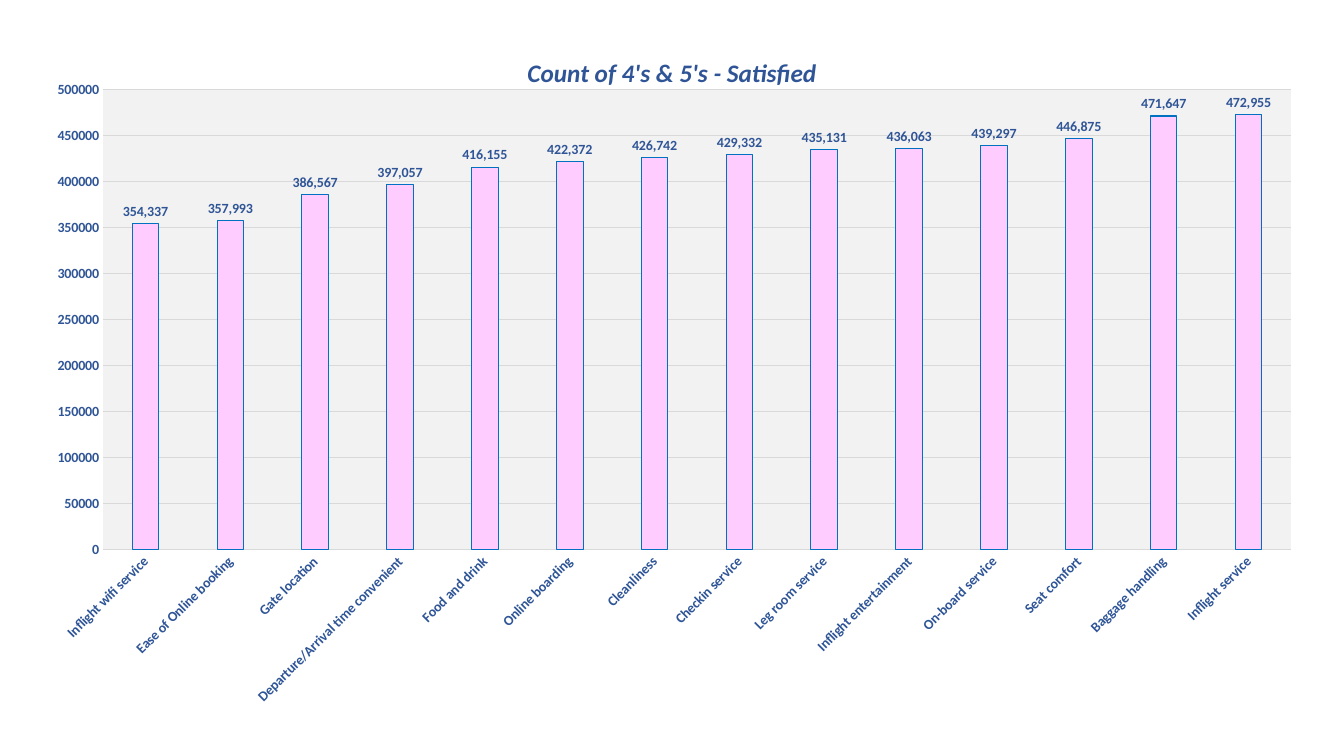
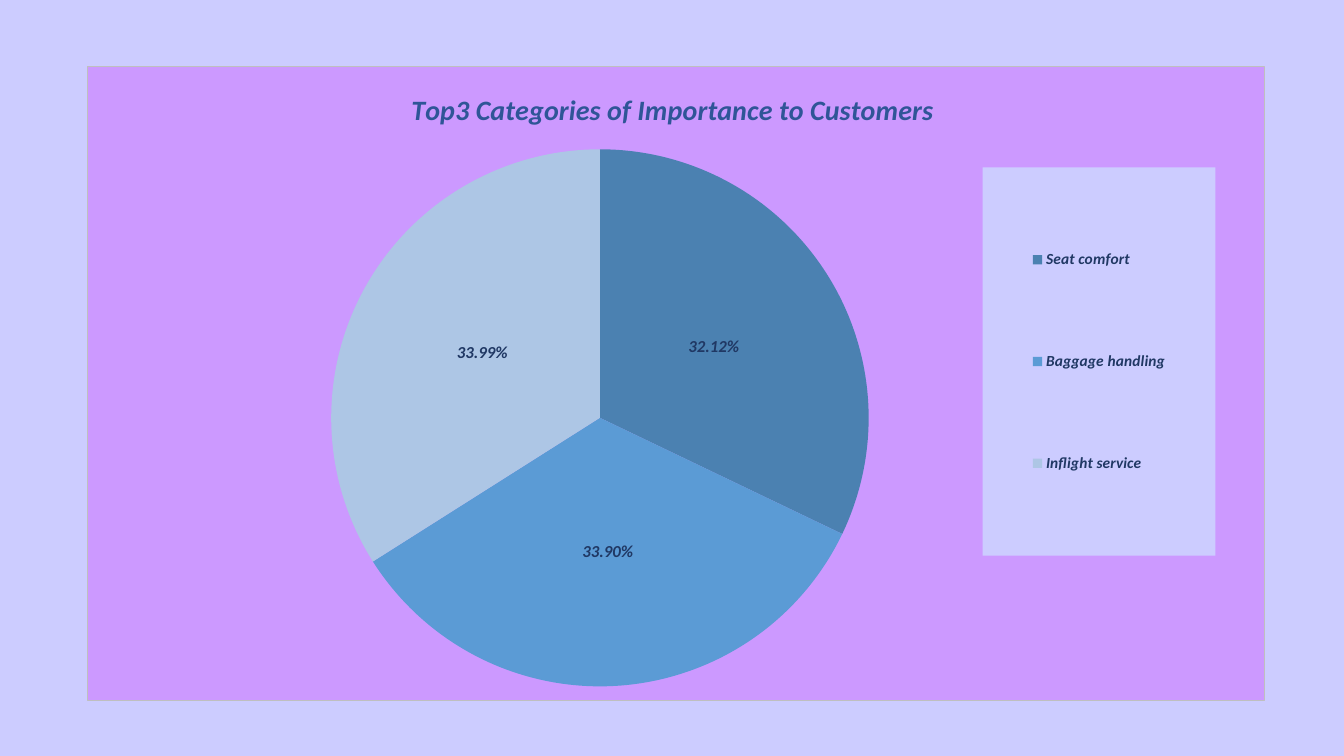
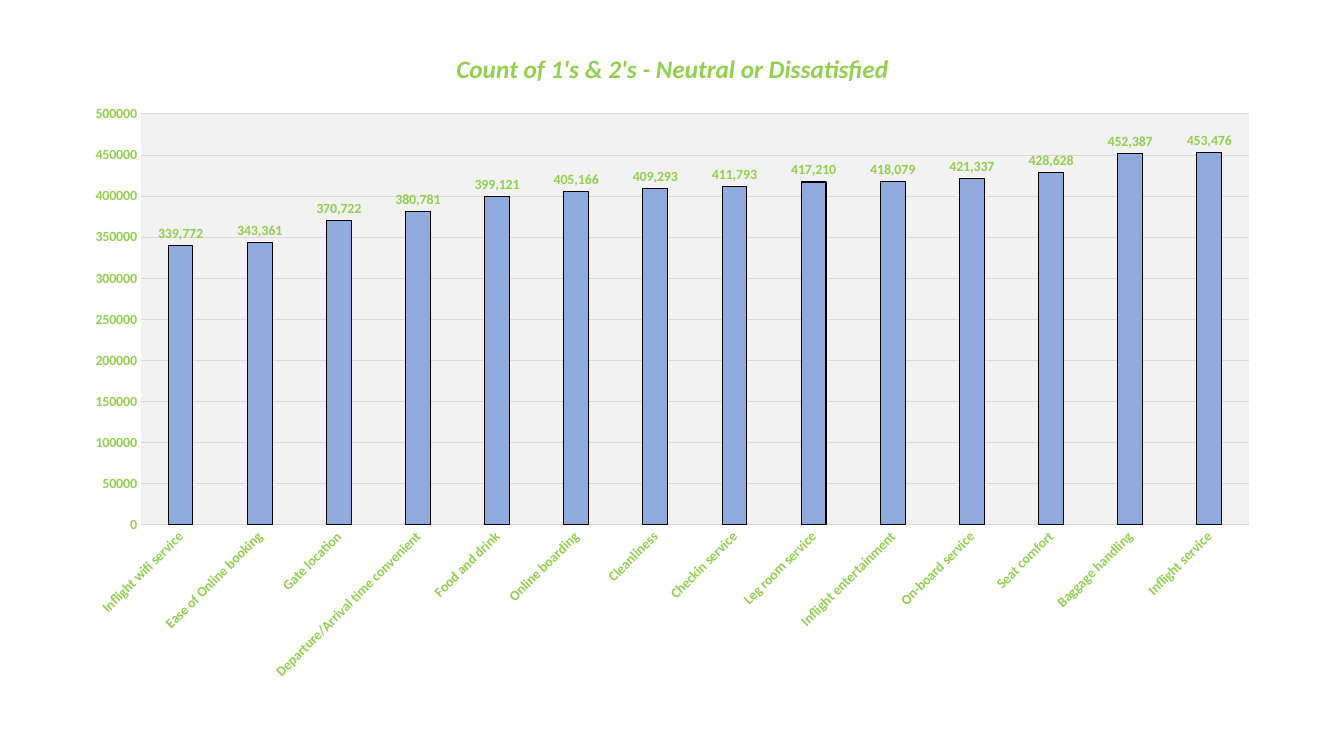
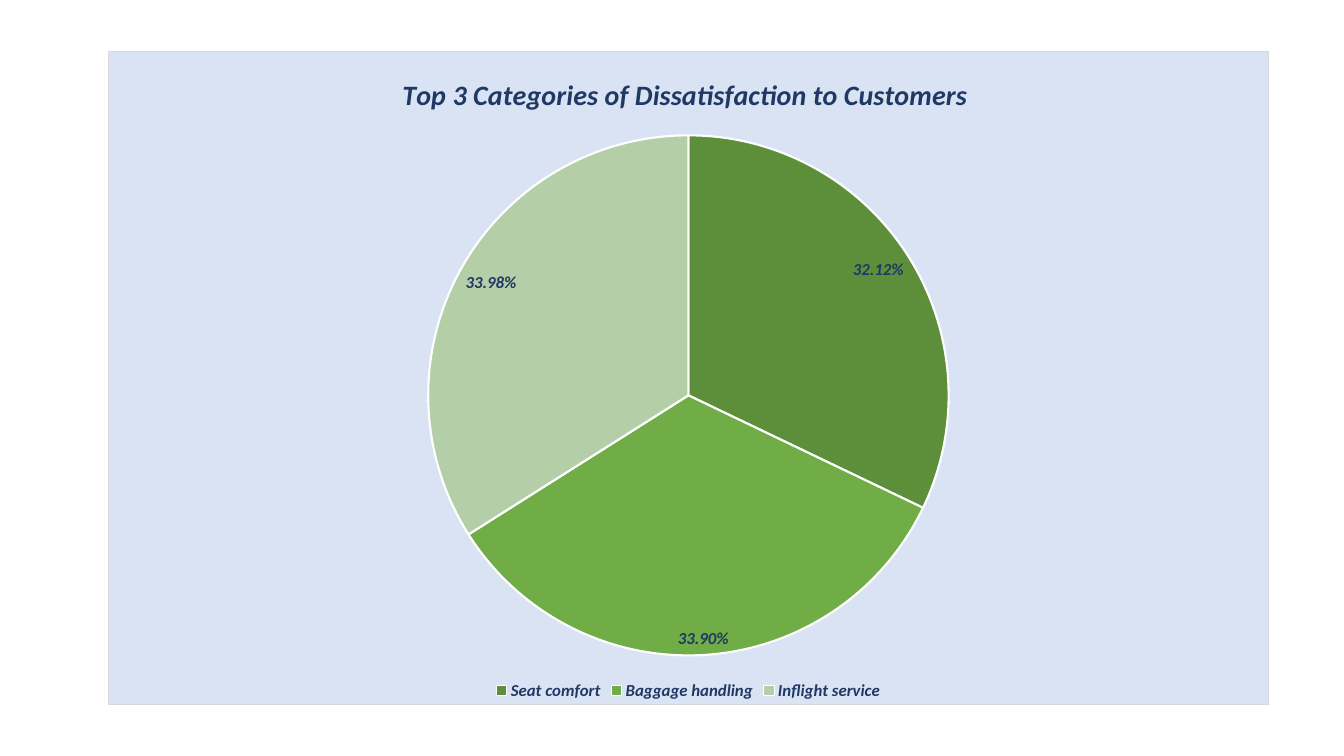
from lxml import etree
from pptx import Presentation
from pptx.chart.data import CategoryChartData
from pptx.dml.color import RGBColor
from pptx.enum.chart import XL_CHART_TYPE as ChartType
from pptx.enum.chart import XL_LABEL_POSITION as LabelPosition
from pptx.enum.chart import XL_LEGEND_POSITION as LegendPosition
from pptx.enum.chart import XL_TICK_MARK as TickMark
from pptx.oxml import parse_xml
from pptx.oxml.ns import nsdecls, qn
from pptx.util import Emu, Pt

PX = 914400 / 100.8
WIDTH, HEIGHT = 1344, 756
FONT = "Calibri"

BLACK = RGBColor(0x00, 0x00, 0x00)
WHITE = RGBColor(0xFF, 0xFF, 0xFF)
NAVY = RGBColor(0x20, 0x38, 0x64)
BLUE = RGBColor(0x2F, 0x55, 0x97)
BRIGHT_BLUE = RGBColor(0x00, 0x70, 0xC0)
SOFT_BLUE = RGBColor(0x8F, 0xAA, 0xDC)
PALE_BLUE = RGBColor(0xDA, 0xE3, 0xF3)
LIME = RGBColor(0x92, 0xD0, 0x50)
PINK = RGBColor(0xFF, 0xCC, 0xFF)
LAVENDER = RGBColor(0xCC, 0xCC, 0xFF)
PURPLE = RGBColor(0xCC, 0x99, 0xFF)
WALL = RGBColor(0xF2, 0xF2, 0xF2)
GRID = RGBColor(0xD9, 0xD9, 0xD9)
GREY = RGBColor(0xBF, 0xBF, 0xBF)
BLUE_SLICES = [RGBColor(0x4B, 0x81, 0xB1), RGBColor(0x5B, 0x9B, 0xD5),
               RGBColor(0xAD, 0xC6, 0xE5)]
GREEN_SLICES = [RGBColor(0x5D, 0x8F, 0x3B), RGBColor(0x70, 0xAD, 0x47),
                RGBColor(0xB4, 0xCF, 0xA8)]

# Content: every box is left, top, width, height in px on the slide
SERVICES = [
    "Inflight wifi service", "Ease of Online booking", "Gate location",
    "Departure/Arrival time convenient", "Food and drink", "Online boarding",
    "Cleanliness", "Checkin service", "Leg room service",
    "Inflight entertainment", "On-board service", "Seat comfort",
    "Baggage handling", "Inflight service",
]
TOP_SERVICES = SERVICES[-3:]

SATISFIED = dict(
    title="Count of 4's & 5's - Satisfied",
    values=[354337, 357993, 386567, 397057, 416155, 422372, 426742,
            429332, 435131, 436063, 439297, 446875, 471647, 472955],
    box=(38, 32, 1268, 692), plot_box=(103, 90, 1188, 460),
    text_color=BLUE, bar_color=PINK, bar_line=BRIGHT_BLUE,
)
IMPORTANCE = dict(
    title="Top3 Categories of Importance to Customers ",
    values=[32.12, 33.9, 33.99],
    box=(87, 66, 1178, 635), plot_box=(331, 149, 538, 538),
    title_color=BLUE, fill=PURPLE, border=GREY, background=LAVENDER,
    slices=BLUE_SLICES, slice_line=None, label_position=LabelPosition.CENTER,
    legend_position=LegendPosition.RIGHT, legend_size=11,
    legend_box=(983, 167, 233, 389),
)
DISSATISFIED = dict(
    title="Count of 1's & 2's - Neutral or Dissatisfied",
    values=[339772, 343361, 370722, 380781, 399121, 405166, 409293,
            411793, 417210, 418079, 421337, 428628, 452387, 453476],
    box=(71, 28, 1203, 665), plot_box=(141, 114, 1108, 411),
    text_color=LIME, bar_color=SOFT_BLUE, bar_line=BLACK,
)
DISSATISFACTION = dict(
    title="Top 3 Categories of Dissatisfaction to Customers ",
    values=[32.12, 33.9, 33.98],
    box=(108, 51, 1161, 654), plot_box=(428, 135, 521, 521),
    title_color=NAVY, fill=PALE_BLUE, border=GRID, background=WHITE,
    slices=GREEN_SLICES, slice_line=WHITE,
    label_position=LabelPosition.INSIDE_END,
    legend_position=LegendPosition.BOTTOM, legend_size=12, legend_box=None,
)


def set_font(font, size, color, italic=False):
    font.name, font.size, font.bold, font.italic = FONT, Pt(size), True, italic
    font.color.rgb = color


def set_line(line, color, width=0.75):
    if color is None:
        line.fill.background()
    else:
        line.color.rgb = color
        line.width = Pt(width)


def area_format(fill, border=None):
    """Shape properties for chart parts that have no format object."""
    edge = f'<a:solidFill><a:srgbClr val="{border}"/></a:solidFill>' if border else "<a:noFill/>"
    return parse_xml(
        f'<c:spPr {nsdecls("c", "a")}>'
        f'<a:solidFill><a:srgbClr val="{fill}"/></a:solidFill>'
        f'<a:ln w="9525">{edge}</a:ln></c:spPr>')


def manual_layout(part_box, chart_box, inner=False):
    """Place a chart part by its px box, as fractions of the chart."""
    left, top, width, height = part_box
    chart_left, chart_top, chart_width, chart_height = chart_box
    layout = etree.Element(qn("c:layout"))
    manual = etree.SubElement(layout, qn("c:manualLayout"))
    entries = [("layoutTarget", "inner")] if inner else []
    entries += [
        ("xMode", "edge"), ("yMode", "edge"),
        ("x", (left - chart_left) / chart_width),
        ("y", (top - chart_top) / chart_height),
        ("w", width / chart_width), ("h", height / chart_height),
    ]
    for tag, value in entries:
        text = value if isinstance(value, str) else f"{value:.4f}"
        etree.SubElement(manual, qn("c:" + tag)).set("val", text)
    return layout


def drop_layout(part):
    for layout in part.findall(qn("c:layout")):
        part.remove(layout)


def add_chart(deck, kind, names, content, title_size, title_color):
    """Add a page holding one chart with its title and plot box."""
    page = deck.slides.add_slide(deck.slide_layouts[6])
    page.background.fill.solid()
    page.background.fill.fore_color.rgb = content.get("background", WHITE)
    data = CategoryChartData()
    data.categories = names
    data.add_series("Series 1", content["values"])
    place = [Emu(round(length * PX)) for length in content["box"]]
    chart = page.shapes.add_chart(kind, *place, data).chart
    chart.font.name, chart.font.size = FONT, Pt(10)
    chart.font.color.rgb = BLACK

    chart.has_title = True
    span = chart.chart_title.text_frame.paragraphs[0].add_run()
    span.text = content["title"]
    set_font(span.font, title_size, title_color, italic=True)
    chart.chart_title.include_in_layout = False

    plot_area = chart.element.find(".//" + qn("c:plotArea"))
    drop_layout(plot_area)
    plot_area.insert(0, manual_layout(content["plot_box"], content["box"], inner=True))
    return chart, plot_area


def add_labels(plot, number_format, size, color, position, italic=False):
    plot.has_data_labels = True
    labels = plot.data_labels
    labels.number_format, labels.number_format_is_linked = number_format, False
    labels.position = position
    set_font(labels.font, size, color, italic)
    return labels


def add_column_page(deck, content):
    color = content["text_color"]
    chart, plot_area = add_chart(deck, ChartType.COLUMN_CLUSTERED, SERVICES, content, 18, color)
    chart.has_legend = False
    plot_area.append(area_format(WALL))

    # Axes
    names, counts = chart.category_axis, chart.value_axis
    for axis, line in ((names, GRID), (counts, None)):
        axis.major_tick_mark = axis.minor_tick_mark = TickMark.NONE
        set_font(axis.tick_labels.font, 10, color)
        set_line(axis.format.line, line)
    body = names._element.find(qn("c:txPr")).find(qn("a:bodyPr"))
    body.set("rot", "-2700000")
    body.set("vert", "horz")
    counts.minimum_scale, counts.maximum_scale, counts.major_unit = 0, 500000, 50000
    counts.tick_labels.number_format = "General"
    counts.tick_labels.number_format_is_linked = False
    counts.has_major_gridlines = True
    set_line(counts.major_gridlines.format.line, GRID)

    # Bars
    plot = chart.plots[0]
    plot.vary_by_categories = False
    plot.gap_width, plot.overlap = 219, -27
    bars = plot.series[0]
    bars.invert_if_negative = False
    bars.format.fill.solid()
    bars.format.fill.fore_color.rgb = content["bar_color"]
    set_line(bars.format.line, content["bar_line"])
    add_labels(plot, "#,##0", 10, color, LabelPosition.OUTSIDE_END).show_value = True


def add_pie_page(deck, content):
    chart, _ = add_chart(deck, ChartType.PIE, TOP_SERVICES, content, 20, content["title_color"])
    frame = chart.element.find(qn("c:chart"))
    frame.addnext(area_format(content["fill"], content["border"]))
    if chart.element.find(qn("c:roundedCorners")) is None:
        corners = etree.Element(qn("c:roundedCorners"))
        corners.set("val", "0")
        frame.addprevious(corners)

    # Slices
    plot = chart.plots[0]
    plot.vary_by_categories = True
    for index, color in enumerate(content["slices"]):
        point = plot.series[0].points[index]
        point.format.fill.solid()
        point.format.fill.fore_color.rgb = color
        set_line(point.format.line, content["slice_line"], 1.5)
    labels = add_labels(plot, "0.00%", 12, NAVY, content["label_position"], italic=True)
    labels.show_value, labels.show_percentage = False, True

    # Legend
    chart.has_legend = True
    legend = chart.legend
    legend.position = content["legend_position"]
    legend.include_in_layout = False
    set_font(legend.font, content["legend_size"], NAVY, italic=True)
    if content["legend_box"]:
        element = legend._element
        drop_layout(element)
        overlay = element.find(qn("c:overlay"))
        overlay.addprevious(manual_layout(content["legend_box"], content["box"]))
        overlay.addnext(area_format(LAVENDER))


def main():
    deck = Presentation()
    deck.slide_width, deck.slide_height = Emu(round(WIDTH * PX)), Emu(round(HEIGHT * PX))
    add_column_page(deck, SATISFIED)
    add_pie_page(deck, IMPORTANCE)
    add_column_page(deck, DISSATISFIED)
    add_pie_page(deck, DISSATISFACTION)
    deck.save("out.pptx")


if __name__ == "__main__":
    main()
